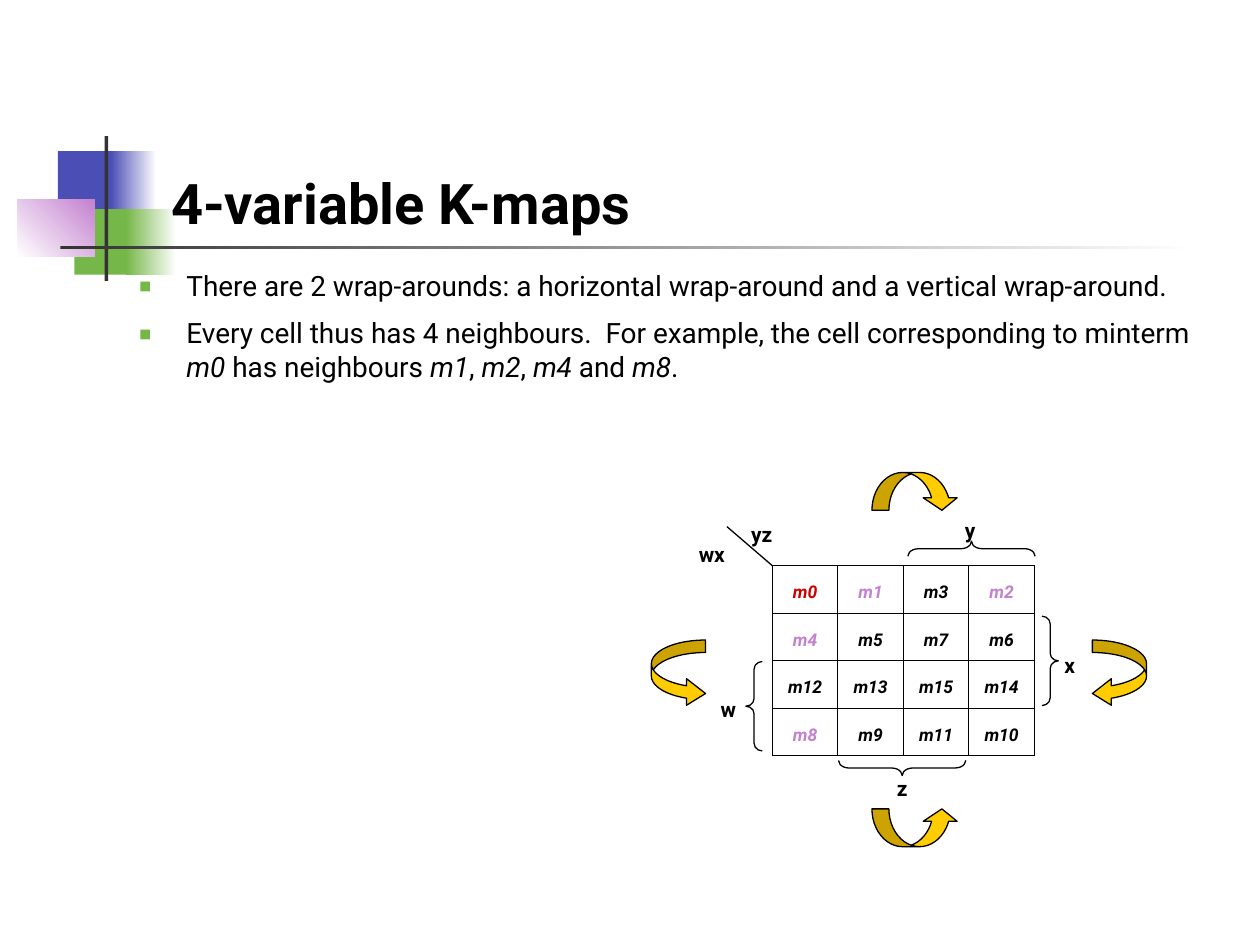
from lxml.etree import SubElement
from pptx import Presentation
from pptx.dml.color import RGBColor as RGB
from pptx.enum.shapes import MSO_CONNECTOR as CONN, MSO_SHAPE as SHAPE
from pptx.enum.text import MSO_ANCHOR as ANCHOR, PP_ALIGN as ALIGN
from pptx.oxml import parse_xml
from pptx.oxml.ns import nsdecls, qn
from pptx.util import Inches, Pt

COLORS = {
    "black": "000000", "white": "FFFFFF", "dark": "333333", "blue": "4B4EB5",
    "green": "76B749", "pink": "C481CF", "red": "CC0000", "gold": "FFCC00",
}
FONT = "Roboto"
MINTERMS = [
    ["m0", "m1", "m3", "m2"],
    ["m4", "m5", "m7", "m6"],
    ["m12", "m13", "m15", "m14"],
    ["m8", "m9", "m11", "m10"],
]
MINTERM_COLORS = {"m0": "red", "m1": "pink", "m2": "pink", "m4": "pink", "m8": "pink"}
BULLETS = [
    ["There are 2 wrap-arounds: a horizontal wrap-around and a vertical wrap-around."],
    ["Every cell thus has 4 neighbours.  For example, the cell corresponding to minterm ",
     "m0", " has neighbours ", "m1", ", ", "m2", ", ", "m4", " and ", "m8", "."],
]


def rgb(name):
    return RGB.from_string(COLORS[name])


def add_run(p, text, color="black", **font):
    r = p.add_run()
    r.text = text
    r.font.color.rgb = rgb(color)
    for key, value in {"name": FONT, **font}.items():
        setattr(r.font, key, value)


def add_text_frame(s, box, **frame):
    tf = s.shapes.add_textbox(*map(Inches, box)).text_frame
    for key, value in {"word_wrap": True, **frame}.items():
        setattr(tf, key, value)
    return tf


def add_shape(s, kind, box, fill=None, line=None, adjustments=()):
    sp = s.shapes.add_shape(kind, *map(Inches, box))
    sp.shadow.inherit = False
    for i, value in enumerate(adjustments):
        sp.adjustments[i] = value
    if fill:
        sp.fill.solid()
        sp.fill.fore_color.rgb = rgb(fill)
    else:
        sp.fill.background()
    if line:
        sp.line.color.rgb = rgb(line)
        sp.line.width = Pt(0.75)
    else:
        sp.line.fill.background()
    return sp


def add_fade(s, box, start, end, angle=0):
    fill = add_shape(s, SHAPE.RECTANGLE, box).fill
    fill.gradient()
    fill.gradient_angle = angle
    for stop, color in zip(fill.gradient_stops, (start, end)):
        stop.color.rgb = rgb(color)


def add_ornament(s, left, top):
    for x, y, solid_w, fade_x, fade_w, color in [
        (0.32, 0.12, 0.48, 0.74, 0.36, "blue"),
        (0.45, 0.58, 0.46, 0.86, 0.40, "green"),
    ]:
        add_shape(s, SHAPE.RECTANGLE, (left + x, top + y, solid_w, 0.52), color)
        add_fade(s, (left + fade_x, top + y, fade_w, 0.52), color, "white")
    add_fade(s, (left, top + 0.5, 0.61, 0.46), "white", "pink", 45)
    add_shape(s, SHAPE.RECTANGLE, (left + 0.69, top, 0.03, 1.15), "dark")
    add_fade(s, (left + 0.34, top + 0.87, 9, 0.03), "dark", "white")


def add_title(s, box):
    tf = add_text_frame(s, box, vertical_anchor=ANCHOR.BOTTOM)
    add_run(tf.paragraphs[0], "4-variable K-maps", size=Pt(32), bold=True)


def add_bullets(s, box):
    tf = add_text_frame(s, box, margin_left=0, margin_top=0, margin_right=0)
    for i, parts in enumerate(BULLETS):
        p = tf.add_paragraph() if i else tf.paragraphs[0]
        p.space_before = Pt(8 if i else 0)
        pPr = p._p.get_or_add_pPr()
        pPr.set("marL", str(Inches(0.38)))
        pPr.set("indent", str(-Inches(0.38)))
        color = SubElement(pPr, qn("a:buClr"))
        SubElement(color, qn("a:srgbClr"), val=COLORS["green"])
        SubElement(pPr, qn("a:buSzPct"), val="120000")
        SubElement(pPr, qn("a:buFont"), typeface=FONT)
        SubElement(pPr, qn("a:buChar"), char="▪")
        for j, part in enumerate(parts):
            add_run(p, part, size=Pt(16), italic=j % 2 == 1)


def set_borders(cell):
    tcPr = cell._tc.get_or_add_tcPr()
    for i, side in enumerate(("lnL", "lnR", "lnT", "lnB")):
        tcPr.insert(i, parse_xml(
            f'<a:{side} {nsdecls("a")} w="{Pt(0.75)}"><a:solidFill>'
            f'<a:srgbClr val="{COLORS["black"]}"/></a:solidFill></a:{side}>'))


def add_cells(s, box):
    table = s.shapes.add_table(4, 4, *map(Inches, box)).table
    table.first_row = table.horz_banding = False
    for i, row in enumerate(MINTERMS):
        for j, name in enumerate(row):
            cell = table.cell(i, j)
            cell.fill.background()
            set_borders(cell)
            for key, value in {
                "margin_top": Inches(0.05), "margin_bottom": 0,
                "vertical_anchor": ANCHOR.MIDDLE,
            }.items():
                setattr(cell, key, value)
            p = cell.text_frame.paragraphs[0]
            p.alignment = ALIGN.CENTER
            add_run(p, name, MINTERM_COLORS.get(name, "black"),
                    size=Pt(10), bold=True, italic=True)


def add_braces(s, left, top):
    for kind, x, y, w, h, rotation in [
        (SHAPE.LEFT_BRACE, -0.21, 0.76, 0.13, 0.71, 0),
        (SHAPE.RIGHT_BRACE, 2.14, 0.4, 0.13, 0.71, 0),
        (SHAPE.LEFT_BRACE, 1.52, -0.64, 0.12, 1.01, 90),
        (SHAPE.LEFT_BRACE, 0.97, 1.1, 0.12, 1.01, 270),
    ]:
        sp = add_shape(s, kind, (left + x, top + y, w, h), line="black",
                       adjustments=(0.7 if rotation else 0.47, 0.5))
        sp.rotation = rotation


def add_labels(s, left, top):
    for text, x, y, w, h in [
        ("w", -0.54, 0.99, 0.38, 0.3),
        ("y", 1.38, -0.43, 0.38, 0.24),
        ("z", 0.84, 1.62, 0.38, 0.23),
        ("x", 2.17, 0.64, 0.38, 0.3),
        ("wx", -0.8, -0.24, 0.64, 0.27),
        ("yz", -0.31, -0.4, 0.45, 0.24),
    ]:
        p = add_text_frame(s, (left + x, top + y, w, h)).paragraphs[0]
        p.alignment = ALIGN.CENTER
        add_run(p, text, size=Pt(12), bold=True)
    divider = s.shapes.add_connector(CONN.STRAIGHT, *map(
        Inches, (left, top, left - 0.36, top - 0.31)))
    divider.line.color.rgb = rgb("black")
    divider.line.width = Pt(0.75)
    SubElement(divider._element.spPr, qn("a:effectLst"))


def add_wrap_arrows(s, left, top):
    side, level = (0.23, 0.49, 0.35), (0.45, 0.9, 0.33)
    for kind, x, y, w, h, adjustments in [
        (SHAPE.CURVED_RIGHT_ARROW, -0.96, 0.59, 0.43, 0.53, side),
        (SHAPE.CURVED_LEFT_ARROW, 2.54, 0.59, 0.43, 0.53, side),
        (SHAPE.CURVED_UP_ARROW, 0.79, 1.93, 0.69, 0.3, level),
        (SHAPE.CURVED_DOWN_ARROW, 0.79, -0.74, 0.69, 0.3, level),
    ]:
        add_shape(s, kind, (left + x, top + y, w, h), "gold", "black", adjustments)


def add_kmap(s, box):
    left, top = box[:2]
    add_cells(s, box)
    add_braces(s, left, top)
    add_labels(s, left, top)
    add_wrap_arrows(s, left, top)


def main():
    prs = Presentation()
    prs.slide_width, prs.slide_height = Inches(10), Inches(7.5)
    s = prs.slides.add_slide(prs.slide_layouts[6])
    add_ornament(s, 0.14, 1.08)
    add_title(s, (1.26, 0.67, 8.52, 1.25))
    add_bullets(s, (1.1, 2.13, 8.55, 1.88))
    add_kmap(s, (6.13, 4.49, 2.08, 1.51))
    prs.save("out.pptx")


if __name__ == "__main__":
    main()
